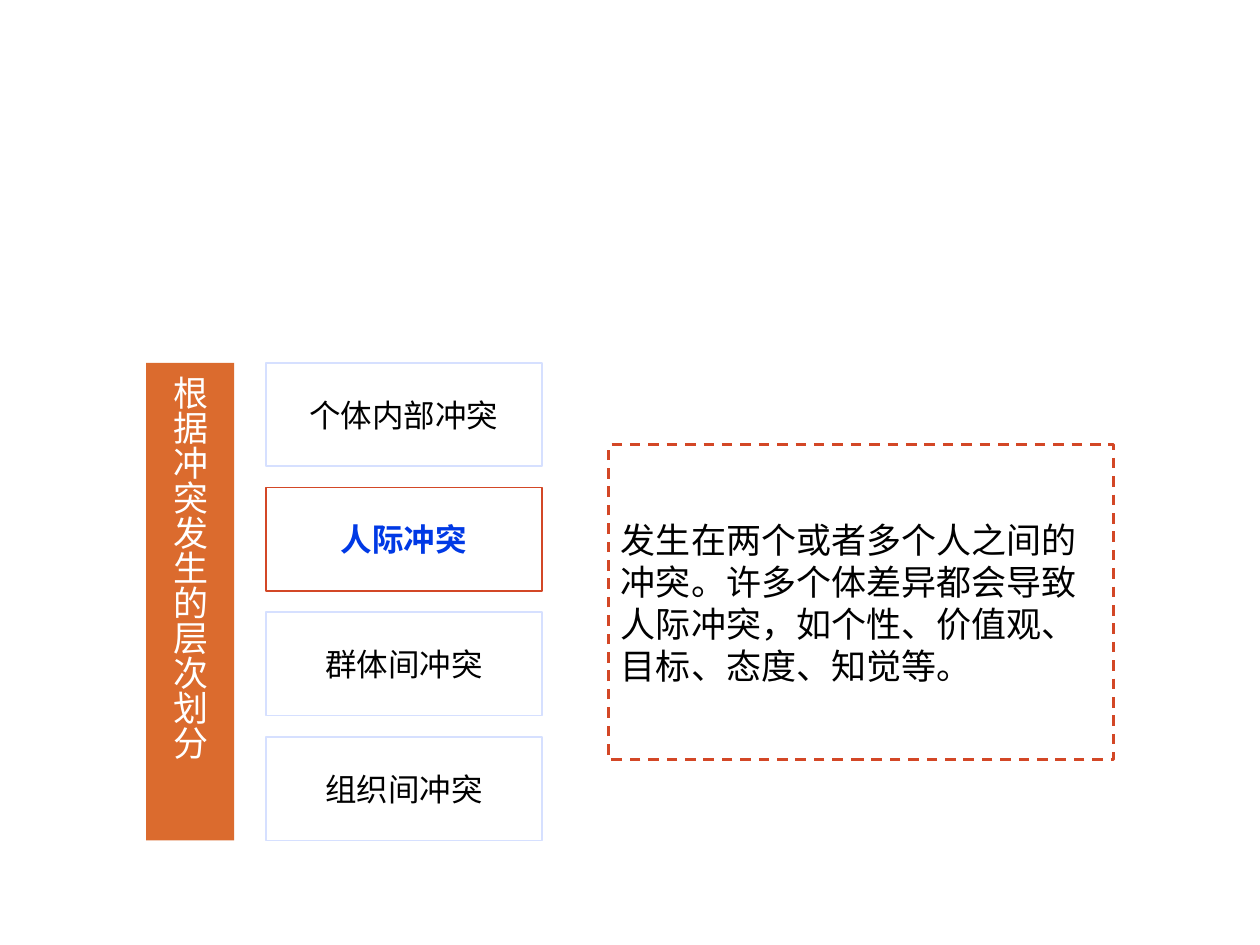
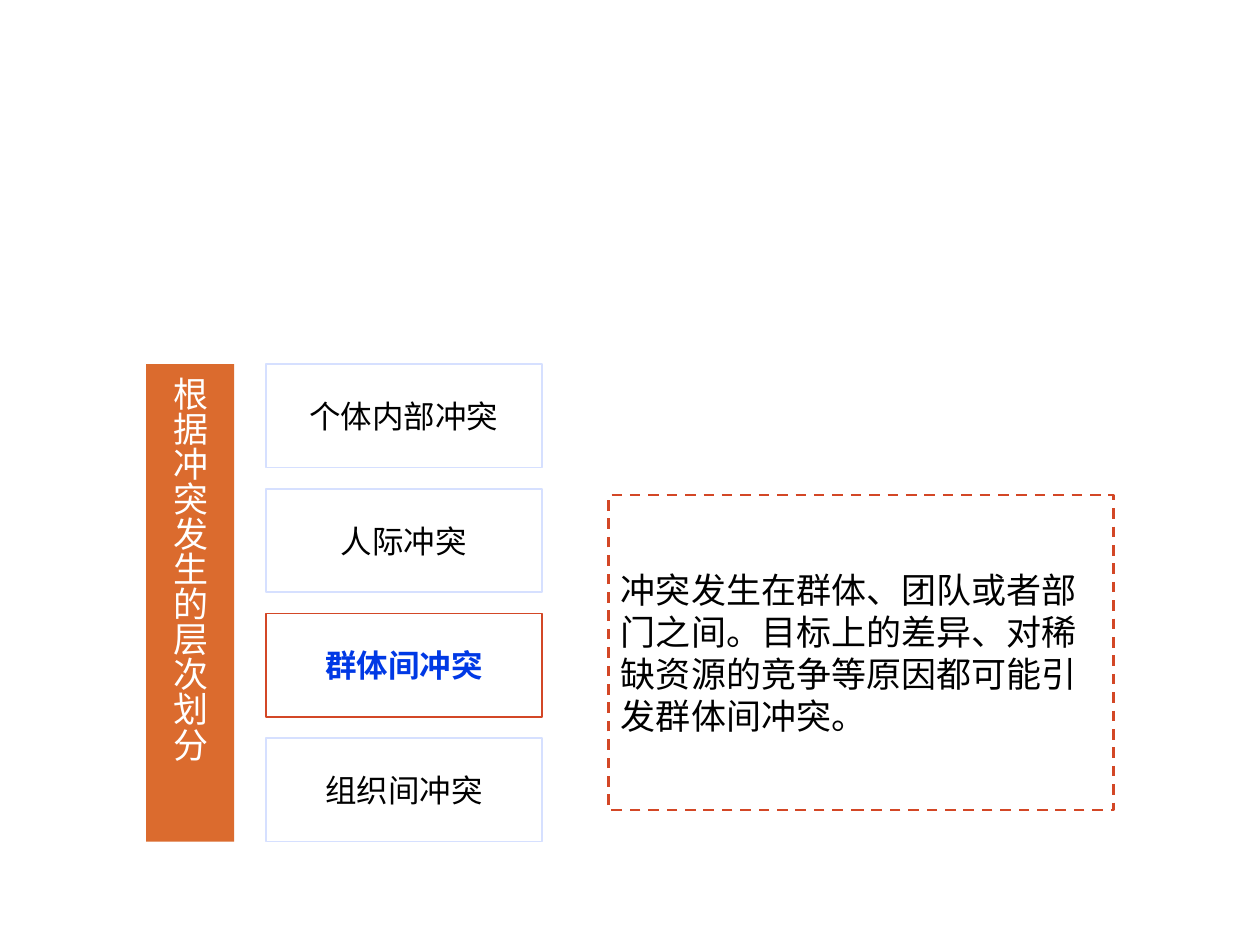
from dataclasses import dataclass

from lxml import etree
from pptx import Presentation
from pptx.dml.color import RGBColor
from pptx.enum.dml import MSO_LINE
from pptx.enum.shapes import MSO_SHAPE
from pptx.enum.text import MSO_ANCHOR, PP_ALIGN
from pptx.oxml.ns import qn
from pptx.slide import Slide
from pptx.util import Emu, Pt

RECTANGLE = MSO_SHAPE.RECTANGLE
MIDDLE = MSO_ANCHOR.MIDDLE
LEFT, CENTER = PP_ALIGN.LEFT, PP_ALIGN.CENTER
SOLID, DASH = MSO_LINE.SOLID, MSO_LINE.DASH

# Shared style: 100 px to the inch
EMU_PER_PX = 9144
SLIDE_WIDTH, SLIDE_HEIGHT = 1000, 750
BLANK_LAYOUT = 6
FONT = "Noto Sans CJK SC"
ORANGE, RED, BLUE = "DB6B2E", "D34726", "0039E5"
PALE_BLUE, WHITE, BLACK = "D6E0FF", "FFFFFF", "000000"

# Shared diagram geometry and wording
BAR_LEFT, BAR_WIDTH, BAR_HEIGHT = 116, 70, 379
LEVEL_LEFT, LEVEL_WIDTH, LEVEL_HEIGHT, LEVEL_PITCH = 211, 219, 82, 99
DETAIL_LEFT, DETAIL_WIDTH, DETAIL_HEIGHT = 483, 401, 250
BAR_TEXT = "根据冲突发生的层次划分"
LEVELS = ("个体内部冲突", "人际冲突", "群体间冲突", "组织间冲突")


@dataclass(frozen=True)
class BoxStyle:
    fill: str = WHITE
    line: str | None = PALE_BLUE
    line_width: float = 1
    dash: MSO_LINE = SOLID
    color: str = BLACK
    size: int = 18
    bold: bool = False
    align: PP_ALIGN = CENTER
    vertical: bool = False


@dataclass(frozen=True)
class ConflictPage:
    active_level: str
    detail: str
    diagram_top: int
    detail_top: int


BAR = BoxStyle(fill=ORANGE, line=None, color=WHITE, size=20, vertical=True)
LEVEL = BoxStyle()
ACTIVE_LEVEL = BoxStyle(line=RED, color=BLUE, bold=True)
DETAIL = BoxStyle(line=RED, line_width=1.5, dash=DASH, size=20, align=LEFT)

PAGES = (
    ConflictPage(
        "人际冲突",
        "发生在两个或者多个人之间的冲突。许多个体差异都会导致人际冲突，"
        "如个性、价值观、目标、态度、知觉等。",
        288, 353),
    ConflictPage(
        "群体间冲突",
        "冲突发生在群体、团队或者部门之间。目标上的差异、对稀缺资源的竞争"
        "等原因都可能引发群体间冲突。",
        289, 393),
)


def px(length: int) -> Emu:
    return Emu(length * EMU_PER_PX)


def rgb(color: str) -> RGBColor:
    return RGBColor.from_string(color)


def set_values(target: object, values: dict[str, object]) -> None:
    for name, value in values.items():
        setattr(target, name, value)


def add_box(page: Slide, left: int, top: int, width: int, height: int,
            text: str, style: BoxStyle) -> None:
    box = page.shapes.add_shape(
        RECTANGLE, px(left), px(top), px(width), px(height))
    box.shadow.inherit = False
    box.fill.solid()
    box.fill.fore_color.rgb = rgb(style.fill)
    if style.line is None:
        box.line.fill.background()
    else:
        box.line.color.rgb = rgb(style.line)
        set_values(box.line, {"width": Pt(style.line_width),
                              "dash_style": style.dash})

    # Text
    frame = box.text_frame
    set_values(frame, {"word_wrap": True, "vertical_anchor": MIDDLE})
    if style.vertical:
        frame._txBody.bodyPr.set("vert", "eaVert")
    para = frame.paragraphs[0]
    para.alignment = style.align
    span = para.add_run()
    span.text = text
    set_values(span.font, {"name": FONT, "size": Pt(style.size),
                           "bold": style.bold})
    span.font.color.rgb = rgb(style.color)

    # East Asian typeface, placed right after the Latin one
    latin = span.font._element.find(qn("a:latin"))
    east_asian = etree.Element(qn("a:ea"), typeface=FONT)
    latin.addnext(east_asian)


def draw_page(page: Slide, content: ConflictPage) -> None:
    # Vertical heading bar
    add_box(page, BAR_LEFT, content.diagram_top, BAR_WIDTH, BAR_HEIGHT,
            BAR_TEXT, BAR)

    # Conflict levels, with the current one highlighted
    for row, level in enumerate(LEVELS):
        style = ACTIVE_LEVEL if level == content.active_level else LEVEL
        add_box(page, LEVEL_LEFT, content.diagram_top + row * LEVEL_PITCH,
                LEVEL_WIDTH, LEVEL_HEIGHT, level, style)

    # Explanation of the current level
    add_box(page, DETAIL_LEFT, content.detail_top, DETAIL_WIDTH,
            DETAIL_HEIGHT, content.detail, DETAIL)


def main() -> None:
    deck = Presentation()
    set_values(deck, {"slide_width": px(SLIDE_WIDTH),
                      "slide_height": px(SLIDE_HEIGHT)})
    for content in PAGES:
        page = deck.slides.add_slide(deck.slide_layouts[BLANK_LAYOUT])
        draw_page(page, content)
    deck.save("out.pptx")


if __name__ == "__main__":
    main()
